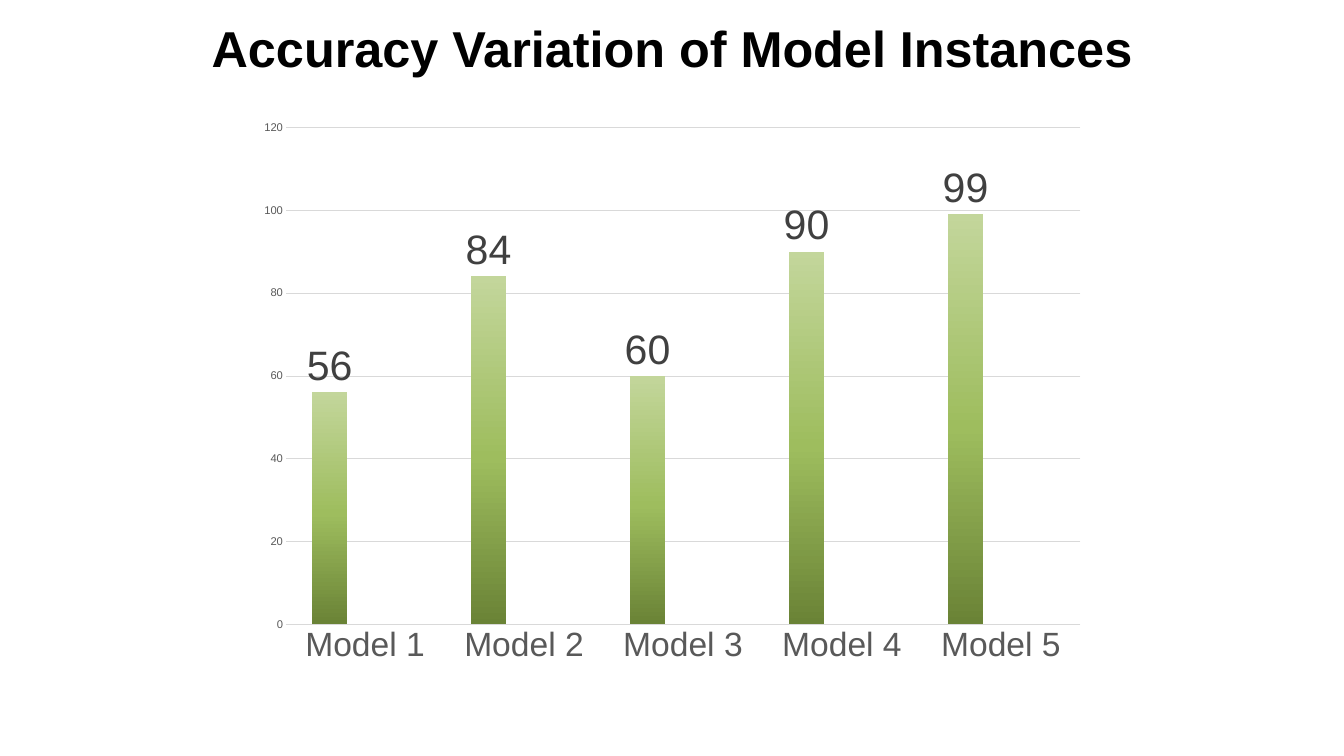
import lxml.etree
import pptx
import pptx.chart.data
import pptx.dml.color
import pptx.enum.chart
import pptx.enum.text
import pptx.oxml.ns
import pptx.util
from pptx.dml.color import RGBColor
from pptx.util import Inches

FONT = "Arial"
BLACK = RGBColor(0x00, 0x00, 0x00)
LABEL_GREY = RGBColor(0x40, 0x40, 0x40)
AXIS_GREY = RGBColor(0x59, 0x59, 0x59)
LINE_GREY = RGBColor(0xD9, 0xD9, 0xD9)
GREENS = [(0, RGBColor(0x6A, 0x83, 0x36)), (48, RGBColor(0x9E, 0xBD, 0x5E)),
          (100, RGBColor(0xC3, 0xD6, 0x9B))]
REDS = [(0, RGBColor(0xD1, 0x40, 0x3C)), (100, RGBColor(0xFF, 0xA6, 0xA5))]
LIMES = [(0, RGBColor(0xA0, 0xCA, 0x4A)), (100, RGBColor(0xDA, 0xFF, 0xA5))]

MODELS = [f"Model {number}" for number in range(1, 6)]
NO_VALUES = [None] * len(MODELS)
# name, values, gradient stops, label size
SERIES = [
    ("Series 1", [56, 84, 60, 90, 99], GREENS, 44),
    ("Series 2", NO_VALUES, REDS, 12),
    ("Series 3", NO_VALUES, LIMES, 12),
]


def set_font(font, size, color, bold=False):
    font.name = FONT
    font.size = pptx.util.Pt(size)
    font.bold = bold
    font.color.rgb = color


def fill_upward(series, stops):
    """Fill the bars with a gradient that runs from bottom to top."""
    fill = series.format.fill
    fill.gradient()
    fill.gradient_angle = 90
    qn = pptx.oxml.ns.qn
    stop_list = series.format._element.find(".//" + qn("a:gsLst"))
    for old_stop in list(stop_list):
        stop_list.remove(old_stop)
    for percent, color in stops:
        stop = lxml.etree.SubElement(stop_list, qn("a:gs"), pos=str(percent * 1000))
        lxml.etree.SubElement(stop, qn("a:srgbClr"), val=str(color))


presentation = pptx.Presentation()
presentation.slide_width = Inches(20)
presentation.slide_height = Inches(11.25)
slide = presentation.slides.add_slide(presentation.slide_layouts[6])

# Title
title = slide.shapes.add_textbox(Inches(0.89), Inches(0.25), Inches(18.23), Inches(0.92))
text_frame = title.text_frame
text_frame.word_wrap = True
text_frame.auto_size = pptx.enum.text.MSO_AUTO_SIZE.SHAPE_TO_FIT_TEXT
text_frame.margin_left = text_frame.margin_right = text_frame.margin_bottom = 0
text_frame.margin_top = Inches(0.01)
paragraph = text_frame.paragraphs[0]
paragraph.text = "Accuracy Variation of Model Instances"
paragraph.alignment = pptx.enum.text.PP_ALIGN.CENTER
set_font(paragraph.font, 54, BLACK, bold=True)

# Chart
chart_data = pptx.chart.data.CategoryChartData()
chart_data.categories = MODELS
for name, values, stops, label_size in SERIES:
    chart_data.add_series(name, values)
chart = slide.shapes.add_chart(
    pptx.enum.chart.XL_CHART_TYPE.COLUMN_CLUSTERED,
    Inches(3.68), Inches(1.64), Inches(12.65), Inches(8.41), chart_data).chart
chart.has_title = False
chart.has_legend = False
set_font(chart.font, 10, BLACK)

plot = chart.plots[0]
plot.gap_width = 150
plot.overlap = 0
plot.vary_by_categories = False
for series, (name, values, stops, label_size) in zip(plot.series, SERIES):
    fill_upward(series, stops)
    labels = series.data_labels
    labels.show_value = True
    labels.position = pptx.enum.chart.XL_LABEL_POSITION.OUTSIDE_END
    set_font(labels.font, label_size, LABEL_GREY)

# Axes
for axis, size in ((chart.category_axis, 36), (chart.value_axis, 12)):
    axis.major_tick_mark = pptx.enum.chart.XL_TICK_MARK.NONE
    axis.minor_tick_mark = pptx.enum.chart.XL_TICK_MARK.NONE
    set_font(axis.tick_labels.font, size, AXIS_GREY)
chart.category_axis.format.line.color.rgb = LINE_GREY
chart.category_axis.format.line.width = pptx.util.Pt(1)

value_axis = chart.value_axis
value_axis.minimum_scale = 0
value_axis.maximum_scale = 120
value_axis.major_unit = 20
value_axis.format.line.fill.background()
value_axis.has_major_gridlines = True
value_axis.major_gridlines.format.line.color.rgb = LINE_GREY
value_axis.major_gridlines.format.line.width = pptx.util.Pt(0.75)

presentation.save("out.pptx")
